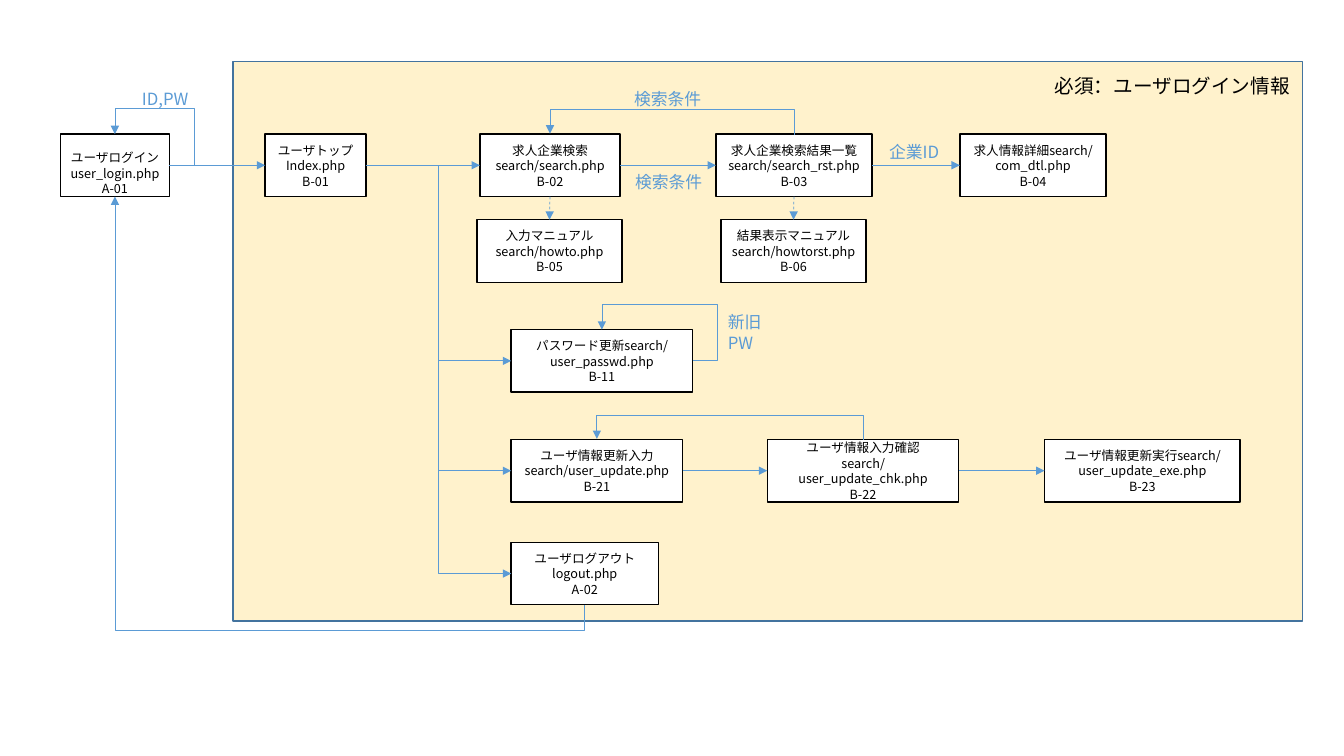
"""Draw the screen transition diagram of a job search site."""
from dataclasses import dataclass
from enum import Enum, IntEnum

from lxml.etree import SubElement
from pptx import Presentation
from pptx.dml.color import RGBColor
from pptx.enum.dml import MSO_LINE
from pptx.enum.shapes import MSO_CONNECTOR as Connector, MSO_SHAPE as Preset
from pptx.enum.text import MSO_ANCHOR as Anchor, MSO_AUTO_SIZE as AutoSize, PP_ALIGN as Align
from pptx.oxml.ns import qn
from pptx.util import Inches, Pt


@dataclass(frozen=True)
class Theme:
    font: str = "Noto Sans CJK JP"
    ink: RGBColor = RGBColor(0, 0, 0)
    paper: RGBColor = RGBColor(255, 255, 255)
    area: RGBColor = RGBColor(0xFF, 0xF2, 0xCC)
    area_edge: RGBColor = RGBColor(0x43, 0x73, 0x9E)
    flow: RGBColor = RGBColor(0x5B, 0x9B, 0xD5)
    title_size: float = 14
    label_size: float = 12
    page_size: float = 9
    leading: float = 1.23
    edge_width: float = 1
    flow_width: float = 0.5


class Side(IntEnum):
    TOP = 0
    LEFT = 1
    BOTTOM = 2
    RIGHT = 3


class Route(Enum):
    STRAIGHT = "straight"
    BRANCH = "branch"
    OVER = "over"
    AROUND = "around"


@dataclass(frozen=True)
class Screen:
    code: str
    text: str
    left: float
    top: float
    width: float


@dataclass(frozen=True)
class Flow:
    start: str
    end: str
    route: Route = Route.STRAIGHT
    start_side: Side = Side.RIGHT
    end_side: Side = Side.LEFT
    rise: float = 0.25
    dashed: bool = False


@dataclass(frozen=True)
class Label:
    text: str
    left: float
    top: float
    width: float
    height: float = 0.3
    wrap: bool = False


THEME = Theme()
SCREEN_HEIGHT = 0.62
MAIN_ROW, MANUAL_ROW, PASSWORD_ROW, UPDATE_ROW, LOGOUT_ROW = 1.33, 2.18, 3.27, 4.36, 5.38
SUBMENU_LEFT = 5.07
TITLE = Label("必須：ユーザログイン情報", 10.36, 0.68, 2.78, 0.34, True)

SCREENS = [
    Screen("A-01", "ユーザログイン\nuser_login.php", 0.6, MAIN_ROW, 1.08),
    Screen("B-01", "ユーザトップ\nIndex.php", 2.63, MAIN_ROW, 1),
    Screen("B-02", "求人企業検索\nsearch/search.php", 4.76, MAIN_ROW, 1.39),
    Screen("B-03", "求人企業検索結果一覧\nsearch/search_rst.php", 7.1, MAIN_ROW, 1.55),
    Screen("B-04", "求人情報詳細search/com_dtl.php", 9.52, MAIN_ROW, 1.45),
    Screen("B-05", "入力マニュアルsearch/howto.php", 4.73, MANUAL_ROW, 1.44),
    Screen("B-06", "結果表示マニュアルsearch/howtorst.php", 7.15, MANUAL_ROW, 1.44),
    Screen("B-11", "パスワード更新search/user_passwd.php", SUBMENU_LEFT, PASSWORD_ROW, 1.8),
    Screen("B-21", "ユーザ情報更新入力\nsearch/user_update.php", SUBMENU_LEFT, UPDATE_ROW, 1.7),
    Screen("B-22", "ユーザ情報入力確認\nsearch/user_update_chk.php", 7.61, UPDATE_ROW, 1.9),
    Screen("B-23", "ユーザ情報更新実行search/user_update_exe.php", 10.36, UPDATE_ROW, 1.94),
    Screen("A-02", "ユーザログアウト\nlogout.php", SUBMENU_LEFT, LOGOUT_ROW, 1.46),
]

FLOWS = [
    *(Flow(start, end) for start, end in (
        ("A-01", "B-01"), ("B-01", "B-02"), ("B-02", "B-03"),
        ("B-03", "B-04"), ("B-21", "B-22"), ("B-22", "B-23"))),
    *(Flow("B-01", end, Route.BRANCH) for end in ("B-11", "B-21", "A-02")),
    *(Flow(start, end, Route.OVER, Side.TOP, Side.TOP)
      for start, end in (("B-03", "B-02"), ("B-22", "B-21"))),
    Flow("A-02", "A-01", Route.OVER, Side.BOTTOM, Side.BOTTOM, rise=-0.25),
    *(Flow(code, code, Route.AROUND, Side.RIGHT, Side.TOP) for code in ("A-01", "B-11")),
    *(Flow(start, end, Route.STRAIGHT, Side.BOTTOM, Side.TOP, dashed=True)
      for start, end in (("B-02", "B-05"), ("B-03", "B-06"))),
]

LABELS = [
    Label("ID,PW", 1.31, 0.83, 0.69),
    Label("検索条件", 6.2, 1.65, 0.88),
    Label("検索条件", 6.19, 0.83, 0.88),
    Label("企業ID", 8.72, 1.35, 0.7, wrap=True),
    Label("新旧\nPW", 7.12, 3.04, 0.54, 0.5),
]


def write(shape, text: str, size: float, color: RGBColor, align=Align.LEFT) -> None:
    """Fill a shape with text in the theme font."""
    shape.text_frame.text = text
    for para in shape.text_frame.paragraphs:
        para.alignment = align
        para.line_spacing = Pt(size * THEME.leading)
        para.space_before = Pt(0)
        for span in para.runs:
            span.font.size = Pt(size)
            span.font.color.rgb = color
            span.font.name = THEME.font
            SubElement(span.font._element, qn("a:ea"), typeface=THEME.font)


def add_box(page, left: float, top: float, width: float, height: float, fill, edge):
    """Add a flat rectangle."""
    box = page.shapes.add_shape(
        Preset.RECTANGLE, Inches(left), Inches(top), Inches(width), Inches(height))
    box.shadow.inherit = False
    box.fill.solid()
    box.fill.fore_color.rgb = fill
    box.line.color.rgb = edge
    box.line.width = Pt(THEME.edge_width)
    return box


def add_screen(page, screen: Screen):
    """Add the box of one screen."""
    box = add_box(page, screen.left, screen.top, screen.width, SCREEN_HEIGHT,
                  THEME.paper, THEME.ink)
    write(box, f"{screen.text}\n{screen.code}", THEME.page_size, THEME.ink, Align.CENTER)
    box.text_frame.word_wrap = True
    box.text_frame.vertical_anchor = Anchor.MIDDLE
    return box


def set_bends(connector, *ratios: float) -> None:
    """Set the bend positions of an elbow connector."""
    geometry = connector.element.spPr.find(qn("a:prstGeom"))
    geometry.set("prst", f"bentConnector{len(ratios) + 2}")
    bends = geometry.find(qn("a:avLst"))
    for number, ratio in enumerate(ratios, 1):
        SubElement(bends, qn("a:gd"), name=f"adj{number}", fmla=f"val {round(ratio * 100000)}")


def turn_upward(connector, rise: int) -> None:
    """Turn an elbow so that it leaves vertically and runs past both ends."""
    across = abs(connector.end_x - connector.begin_x)
    along = max(abs(connector.end_y - connector.begin_y), Inches(0.01))
    middle_x = (connector.begin_x + connector.end_x) // 2
    middle_y = (connector.begin_y + connector.end_y) // 2
    connector.left, connector.top = middle_x - along // 2, middle_y - across // 2
    connector.width, connector.height = along, across
    frame = connector.element.spPr.find(qn("a:xfrm"))
    frame.attrib.pop("flipH", None)
    frame.set("flipV", "1")
    frame.set("rot", str(270 * 60000))
    set_bends(connector, rise / along)


def add_flow(page, flow: Flow, boxes: dict) -> None:
    """Add an arrow joined to two screens."""
    kind = Connector.STRAIGHT if flow.route is Route.STRAIGHT else Connector.ELBOW
    connector = page.shapes.add_connector(kind, 0, 0, 0, 0)
    connector.begin_connect(boxes[flow.start], flow.start_side)
    connector.end_connect(boxes[flow.end], flow.end_side)
    rise = Inches(flow.rise)
    if flow.route is Route.OVER:
        turn_upward(connector, rise)
    elif flow.route is Route.AROUND:
        set_bends(connector, -rise / connector.width, 1 + rise / connector.height)
    connector.line.color.rgb = THEME.flow
    connector.line.width = Pt(THEME.flow_width)
    if flow.dashed:
        connector.line.dash_style = MSO_LINE.DASH
    properties = connector.element.spPr
    SubElement(properties.find(qn("a:ln")), qn("a:tailEnd"), type="triangle")
    SubElement(properties, qn("a:effectLst"))


def place_label(box, label: Label, size: float, color: RGBColor) -> None:
    """Place and format a text label."""
    box.left, box.top = Inches(label.left), Inches(label.top)
    box.width, box.height = Inches(label.width), Inches(label.height)
    write(box, label.text, size, color)
    box.text_frame.word_wrap = label.wrap
    box.text_frame.vertical_anchor = Anchor.TOP
    box.text_frame.auto_size = AutoSize.SHAPE_TO_FIT_TEXT


def main() -> None:
    """Build and save the slide."""
    deck = Presentation()
    deck.slide_width, deck.slide_height = Inches(13.33), Inches(7.5)
    page = deck.slides.add_slide(deck.slide_layouts[5])
    area = add_box(page, 2.31, 0.61, 10.61, 5.55, THEME.area, THEME.area_edge)
    title = page.shapes.title
    place_label(title, TITLE, THEME.title_size, THEME.ink)
    area.element.addnext(title.element)
    boxes = {screen.code: add_screen(page, screen) for screen in SCREENS}
    boxes["A-01"].fill.background()
    boxes["A-01"].text_frame.margin_top = Inches(0.2)
    for flow in FLOWS:
        add_flow(page, flow, boxes)
    for label in LABELS:
        place_label(page.shapes.add_textbox(0, 0, 0, 0), label, THEME.label_size, THEME.flow)
    deck.save("out.pptx")


if __name__ == "__main__":
    main()
